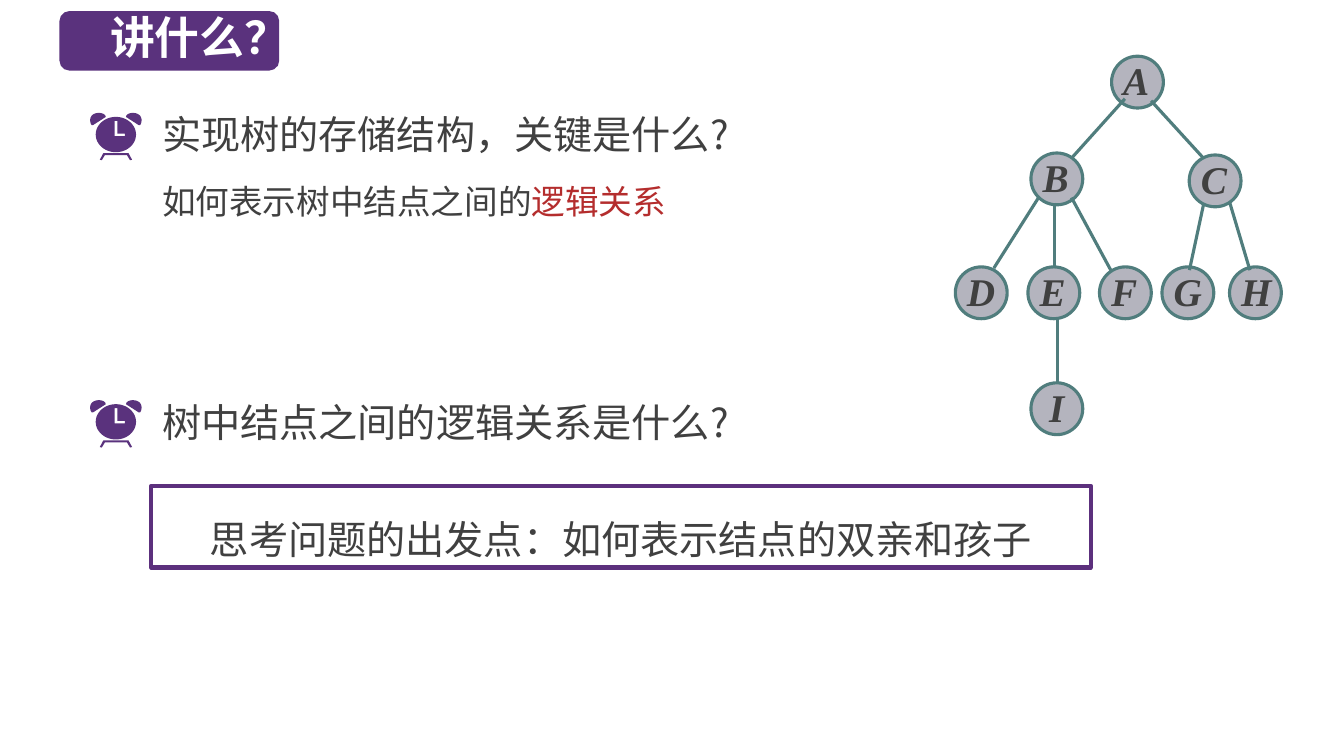
from math import cos, pi, sin

from lxml import etree
from pptx import Presentation
from pptx.dml.color import RGBColor
from pptx.enum.shapes import MSO_CONNECTOR, MSO_SHAPE
from pptx.enum.text import MSO_ANCHOR, PP_ALIGN
from pptx.oxml.ns import qn
from pptx.util import Emu, Pt

LINE = MSO_CONNECTOR.STRAIGHT
RECT, ROUND, OVAL = MSO_SHAPE.RECTANGLE, MSO_SHAPE.ROUNDED_RECTANGLE, MSO_SHAPE.OVAL
TOP, MIDDLE = MSO_ANCHOR.TOP, MSO_ANCHOR.MIDDLE
LEFT, CENTER = PP_ALIGN.LEFT, PP_ALIGN.CENTER

PURPLE = RGBColor(0x5A, 0x32, 0x7D)
FRAME = RGBColor(0x5C, 0x30, 0x7D)
TEAL = RGBColor(0x50, 0x7D, 0x7D)
GREY = RGBColor(0xB4, 0xB4, 0xBE)
INK = RGBColor(0x40, 0x40, 0x40)
RED = RGBColor(0xB4, 0x2D, 0x2D)
WHITE = RGBColor(0xFF, 0xFF, 0xFF)

SANS, SERIF = "Noto Sans CJK SC", "Times New Roman"
COLS, ROWS = 160, 90
CELL = 76200
TICK = 0.12
NODE = 6.17
PAD = (1.2, 0.6, 1.2, 0.6)

NODES = {
    "A": (135.42, 9.78), "B": (125.82, 21.3), "C": (144.66, 21.54),
    "D": (116.82, 34.86), "E": (125.46, 34.86), "F": (133.98, 34.86),
    "G": (141.42, 34.86), "H": (149.46, 34.86), "I": (125.82, 48.66),
}
EDGES = [
    (133.92, 11.76, 127.56, 18.84), (137.04, 12, 143.28, 18.84),
    (123.72, 23.4, 118.32, 31.92), (125.52, 24.12, 125.52, 31.8),
    (127.56, 23.52, 132.24, 32.16), (143.28, 24.36, 141.6, 32.16),
    (146.4, 24.12, 148.8, 32.16), (125.88, 37.92, 125.88, 45.6),
]
HANDS = [(-1.3, 8), (1.5, 8), (1.5, 20.5), (9, 20.5), (9, 23), (-1.3, 23)]
LEGS = [(-16, 46.5), (-12.5, 40), (12.5, 40), (16, 46.5),
        (14, 47), (11, 42), (-11, 42), (-14, 47)]


def grid(*cells):
    return [Emu(round(cell * CELL)) for cell in cells]


def write(shape, runs, size=28, font=SANS, bold=False, slant=False,
          align=LEFT, anchor=TOP, space=1.0, pad=PAD):
    frame = shape.text_frame
    frame.word_wrap = True
    frame.vertical_anchor = anchor
    (frame.margin_left, frame.margin_top,
     frame.margin_right, frame.margin_bottom) = grid(*pad)
    para = frame.paragraphs[0]
    para.alignment, para.line_spacing = align, space
    para.space_before = Pt(0)
    for words, color in runs:
        run = para.add_run()
        run.text = words
        run.font.size, run.font.name = Pt(size), font
        run.font.bold, run.font.italic = bold, slant
        run.font.color.rgb = color
        east = etree.SubElement(run.font._element, qn("a:ea"))
        east.set("typeface", font)


def paint(shape, fill=None, line=None, width=0):
    shape.shadow.inherit = False
    if fill is None:
        shape.fill.background()
    else:
        shape.fill.solid()
        shape.fill.fore_color.rgb = fill
    if line is None:
        shape.line.fill.background()
    else:
        shape.line.color.rgb = line
        shape.line.width = Pt(width)


def block(slide, kind, cells, **look):
    shape = slide.shapes.add_shape(kind, *grid(*cells))
    paint(shape, **look)
    return shape


def label(slide, cells, runs, **style):
    write(slide.shapes.add_textbox(*grid(*cells)), runs, **style)


def curve(a, b, c, d, steps=8):
    points = []
    for step in range(1, steps + 1):
        t = step / steps
        u = 1 - t
        points.append(tuple(
            u**3 * p + 3 * u * u * t * q + 3 * u * t * t * r + t**3 * s
            for p, q, r, s in zip(a, b, c, d)))
    return points


def outline(slide, left, top, *loops):
    paths = [[grid(left + x * TICK, top + y * TICK) for x, y in loop]
             for loop in loops]
    pen = slide.shapes.build_freeform(*paths[0][0])
    for index, points in enumerate(paths):
        if index:
            pen.move_to(*points[0])
        pen.add_line_segments(points[1:], close=True)
    paint(pen.convert_to_shape(), fill=PURPLE)


def clock(slide, left, top):
    bell = curve((-17, 0), (-22, 0), (-25.5, 3), (-25.5, 7))
    bell += curve((-25.5, 7), (-25.5, 9), (-25, 11), (-24, 12))
    bell += [(-22.5, 12), (-10, 4)]
    bell += curve((-10, 3.5), (-11, 1), (-14, 0), (-17, 0))
    turns = [2 * pi * step / 60 for step in range(60)]
    face = [(20 * cos(turn), 21.5 + 17.5 * sin(turn)) for turn in turns]
    outline(slide, left, top, LEGS)
    outline(slide, left, top, bell)
    outline(slide, left, top, [(-x, y) for x, y in bell])
    outline(slide, left, top, face, HANDS)


def ask(slide, top, words):
    label(slide, (18.12, top, 94.8, 6.84), [(words, INK)])
    clock(slide, 13.8, top + 0.84)


def node(slide, name, x, y):
    cells = (x - NODE / 2, y - NODE / 2, NODE, NODE)
    shape = block(slide, OVAL, cells, fill=GREY, line=TEAL, width=2.25)
    write(shape, [(name, INK)], font=SERIF, bold=True, slant=True,
          align=CENTER if name == "I" else LEFT, space=0.8,
          pad=(0.48, 0.24, 0.48, 0.48))


def edge(slide, *ends):
    link = slide.shapes.add_connector(LINE, *grid(*ends))
    link.line.color.rgb = TEAL
    link.line.width = Pt(2.25)
    etree.SubElement(link._element.spPr, qn("a:effectLst"))


def head(slide, words):
    badge = block(slide, ROUND, (7.08, 1.32, 26.16, 7.08), fill=PURPLE)
    title = slide.shapes.title
    title.left, title.top, title.width, title.height = grid(9.72, 0.6, 22.8, 7.68)
    write(title, [(words, WHITE)], size=32, bold=True, align=CENTER)
    badge._element.addnext(title._element)


def main():
    deck = Presentation()
    deck.slide_width, deck.slide_height = grid(COLS, ROWS)
    slide = deck.slides.add_slide(deck.slide_layouts[5])
    box = block(slide, RECT, (18, 57.84, 111.84, 9.72), line=FRAME, width=3)
    write(box, [("思考问题的出发点：如何表示结点的双亲和孩子", INK)],
          align=CENTER, anchor=MIDDLE, space=1.5)
    label(slide, (18.12, 21, 82.08, 6),
          [("如何表示树中结点之间的", INK), ("逻辑关系", RED)], size=24)
    ask(slide, 12.6, "实现树的存储结构，关键是什么?")
    ask(slide, 46.8, "树中结点之间的逻辑关系是什么?")
    for name, (x, y) in NODES.items():
        node(slide, name, x, y)
    for ends in EDGES:
        edge(slide, *ends)
    head(slide, "讲什么？")
    deck.save("out.pptx")


if __name__ == "__main__":
    main()
